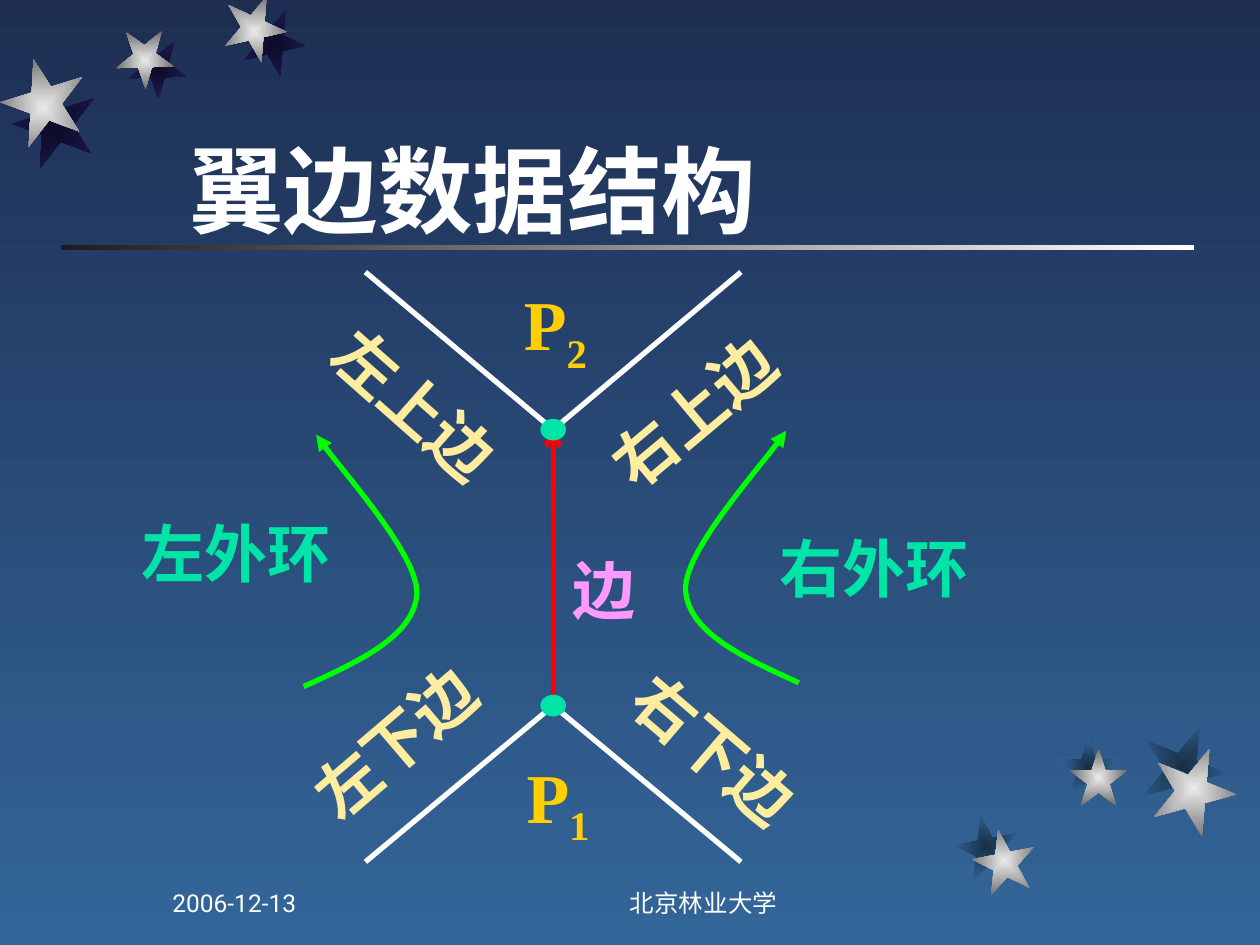
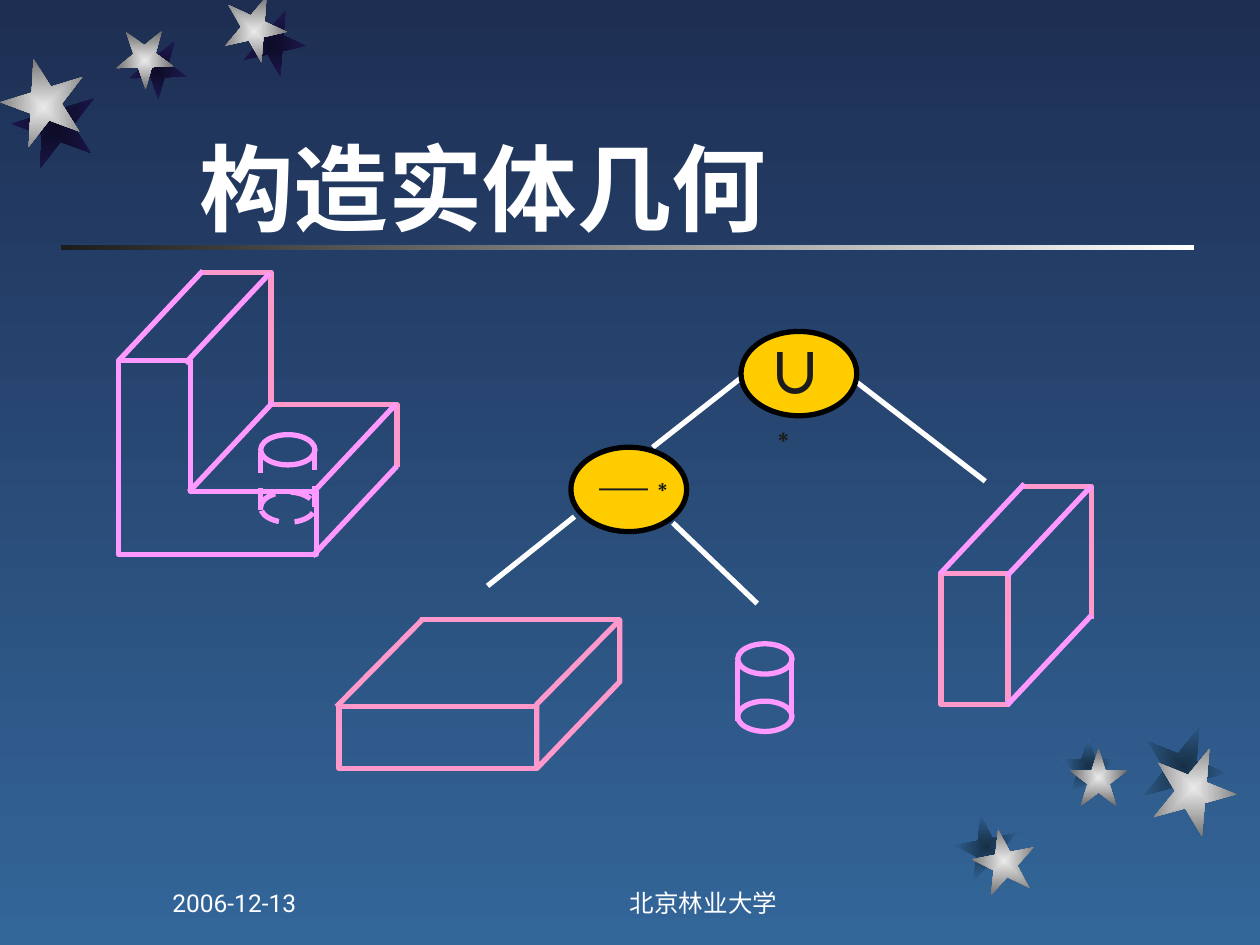
import dataclasses
import typing

import lxml.etree
import pptx
import pptx.dml.color
import pptx.enum.dml
import pptx.enum.shapes
import pptx.enum.text
import pptx.oxml.ns
import pptx.presentation
import pptx.shapes.base
import pptx.shapes.shapetree
import pptx.slide
import pptx.text.text
import pptx.util

Pt = pptx.util.Pt
RGB = pptx.dml.color.RGBColor.from_string
qn = pptx.oxml.ns.qn
SHAPE = pptx.enum.shapes.MSO_SHAPE
ALIGN = pptx.enum.text.PP_ALIGN
ANCHOR = pptx.enum.text.MSO_ANCHOR
FIT = pptx.enum.text.MSO_AUTO_SIZE
DASH = pptx.enum.dml.MSO_LINE.DASH
Shapes = typing.Union[pptx.shapes.shapetree.SlideShapes, pptx.shapes.shapetree.GroupShapes]
Point = tuple[float, float]


@dataclasses.dataclass(frozen=True)
class Theme:
    background: tuple[str, str] = ("1E2E53", "336699")
    rule: tuple[str, str] = ("FFFFFF", "1C1C1C")
    star: tuple[str, str] = ("EAEAEA", "6B6B6B")
    top_shadow: tuple[str, str] = ("0D0B26", "1E1A53")
    bottom_shadow: tuple[str, str] = ("172F46", "336699")
    white: str = "FFFFFF"
    black: str = "000000"
    dark: str = "1C1C1C"
    red: str = "FF0000"
    green: str = "00FF00"
    teal: str = "00E4A8"
    cream: str = "FFED9F"
    gold: str = "FFCF01"
    amber: str = "FFCC00"
    violet: str = "FF99FF"
    pink: str = "FF99CC"
    body_font: str = "Roboto"
    cjk_font: str = "Noto Sans CJK SC"
    vertex_font: str = "Times New Roman"
    mark_font: str = "Arial"
    title_size: float = 54
    vertex_size: float = 40
    label_size: float = 36
    footer_size: float = 14
    line: float = 3


T = Theme()


@dataclasses.dataclass(frozen=True)
class Star:
    x: float
    y: float
    size: float
    angle: float
    shadow_x: float
    shadow_y: float
    shadow: tuple[str, str]


@dataclasses.dataclass(frozen=True)
class Label:
    text: str
    x: float
    y: float
    color: str
    angle: float = 0


STARS = [
    Star(127.4, 0, 36, 167.3, 138.2, 8, T.top_shadow),
    Star(66.2, 18, 33, 178.3, 73.5, 23.8, T.top_shadow),
    Star(0.7, 37.4, 48, 200.3, 7.2, 49.7, T.top_shadow),
    Star(555.8, 473.8, 36, 349, 545.8, 465.8, T.bottom_shadow),
    Star(611.3, 427.7, 33, 0, 605.5, 421.2, T.bottom_shadow),
    Star(658.1, 426.2, 48, 22, 652.3, 414, T.bottom_shadow),
]
LABELS = [
    Label("左下边", 171.4, 402.5, T.cream, 319.4),
    Label("右下边", 354.2, 406.1, T.cream, 40.6),
    Label("右上边", 342, 213.8, T.cream, 320),
    Label("左上边", 182.9, 209.5, T.cream, 41.6),
    Label("边", 326.9, 315.4, T.violet),
    Label("右外环", 445.7, 302.4, T.teal),
    Label("左外环", 80.6, 293.8, T.teal),
]
DEPTH = (-48.2, 51.4)


def set_gradient(fill: typing.Any, colors: tuple[str, str], angle: float = 0) -> None:
    fill.gradient()
    fill.gradient_angle = angle
    for stop, color, position in zip(fill.gradient_stops, colors, (0, 1)):
        stop.color.rgb = RGB(color)
        stop.position = position


def add_shape(shapes: Shapes, kind: SHAPE, x: float, y: float, w: float, h: float):
    sp = shapes.add_shape(kind, Pt(x), Pt(y), Pt(w), Pt(h))
    sp.shadow.inherit = False
    sp.fill.background()
    sp.line.fill.background()
    return sp


def set_line(sp: typing.Any, color: str, dashed: bool = False) -> None:
    sp.line.color.rgb = RGB(color)
    sp.line.width = Pt(T.line)
    if dashed:
        sp.line.dash_style = DASH


def add_arrowhead(sp: typing.Any, end: str, kind: str) -> None:
    ln = sp.element.spPr.find(qn("a:ln"))
    lxml.etree.SubElement(ln, qn(f"a:{end}End"), type=kind)


def add_line(shapes: Shapes, a: Point, b: Point, color: str, dashed: bool = False):
    c = shapes.add_connector(pptx.enum.shapes.MSO_CONNECTOR.STRAIGHT, *map(Pt, (*a, *b)))
    set_line(c, color, dashed)
    lxml.etree.SubElement(c.element.spPr, qn("a:effectLst"))
    return c


def add_depth_edges(shapes: Shapes, starts: list[Point]) -> None:
    for x, y in starts:
        add_line(shapes, (x, y), (x + DEPTH[0], y + DEPTH[1]), T.violet)


def add_outline(shapes: Shapes, points: list[Point], color: str, close: bool = False):
    pts = [(Pt(x), Pt(y)) for x, y in points]
    builder = shapes.build_freeform(*pts[0])
    builder.add_line_segments(pts[1:], close=close)
    sp = builder.convert_to_shape()
    sp.shadow.inherit = False
    sp.fill.background()
    set_line(sp, color)
    return sp


def curve_points(controls: list[Point], steps: int = 16) -> list[Point]:
    """Points along joined cubic Bezier segments."""
    points = [controls[0]]
    for i in range(0, len(controls) - 1, 3):
        segment = controls[i:i + 4]
        for step in range(1, steps + 1):
            t = step / steps
            weights = ((1 - t) ** 3, 3 * t * (1 - t) ** 2, 3 * t * t * (1 - t), t ** 3)
            points.append((sum(w * p[0] for w, p in zip(weights, segment)),
                           sum(w * p[1] for w, p in zip(weights, segment))))
    return points


def style_paragraph(p: typing.Any, font: str, size: float, color: str, bold: bool,
                    align: ALIGN = ALIGN.LEFT) -> None:
    p.alignment = align
    p.font.name = font
    p.font.size = Pt(size)
    p.font.bold = bold
    p.font.color.rgb = RGB(color)
    props = p._p.pPr.find(qn("a:defRPr"))
    lxml.etree.SubElement(props, qn("a:ea"), typeface=T.cjk_font)


def add_text(shapes: Shapes, text: str, x: float, y: float, w: float, h: float, font: str,
             size: float, color: str, bold: bool = True, wrap: bool = False,
             align: ALIGN = ALIGN.LEFT):
    sp = shapes.add_textbox(Pt(x), Pt(y), Pt(w), Pt(h))
    tf = sp.text_frame
    tf.word_wrap = wrap
    tf.auto_size = FIT.SHAPE_TO_FIT_TEXT
    p = tf.paragraphs[0]
    p.add_run().text = text
    style_paragraph(p, font, size, color, bold, align)
    return sp


def add_script(sp: typing.Any, text: str, percent: int, font: typing.Optional[str] = None) -> None:
    """Append a raised or lowered run to the first paragraph."""
    r = sp.text_frame.paragraphs[0].add_run()
    r.text = text
    r.font.name = font
    r._r.get_or_add_rPr().set("baseline", str(percent * 1000))


def add_star(shapes: Shapes, x: float, y: float, star: Star, colors: tuple[str, str]):
    sp = add_shape(shapes, SHAPE.STAR_5_POINT, x, y, star.size, star.size)
    sp.rotation = star.angle
    set_gradient(sp.fill, colors)
    grad = sp.element.spPr.find(qn("a:gradFill"))
    grad.remove(grad.find(qn("a:lin")))
    centre = lxml.etree.SubElement(grad, qn("a:path"), path="rect")
    lxml.etree.SubElement(centre, qn("a:fillToRect"), l="50000", t="50000", r="50000", b="50000")
    return sp


def decorate_master(prs: pptx.presentation.Presentation, s: pptx.slide.Slide) -> None:
    """Draw the shared decoration on a slide, then move it to the master."""
    master = prs.slide_master
    set_gradient(master.background.fill, T.background, 270)
    rule = add_shape(s.shapes, SHAPE.RECTANGLE, 34.6, 140.2, 648, 2.5)
    set_gradient(rule.fill, T.rule, 180)
    parts = [rule]
    for star in STARS:
        parts.append(add_star(s.shapes, star.shadow_x, star.shadow_y, star, star.shadow))
        parts.append(add_star(s.shapes, star.x, star.y, star, T.star))
    for number, sp in enumerate(parts, 100):
        sp.element.nvSpPr.cNvPr.set("id", str(number))
        master.element.cSld.spTree.append(sp.element)


def add_slide(prs: pptx.presentation.Presentation, title: str, x: float, y: float):
    s = prs.slides.add_slide(prs.slide_layouts[5])
    sp = s.shapes.title
    sp.left, sp.top, sp.width, sp.height = Pt(x), Pt(y), Pt(540), Pt(115.2)
    tf = sp.text_frame
    tf.text = title
    tf.vertical_anchor = ANCHOR.BOTTOM
    tf.auto_size = FIT.NONE
    style_paragraph(tf.paragraphs[0], T.body_font, T.title_size, T.white, True)
    return s


def add_footers(s: pptx.slide.Slide) -> None:
    for text, x, w, align in (("北京林业大学", 288, 228.2, ALIGN.CENTER),
                              ("2006-12-13", 91.4, 149.8, ALIGN.LEFT)):
        sp = add_text(s.shapes, text, x, 491.8, w, 36, T.body_font, T.footer_size,
                      T.white, bold=False, wrap=True, align=align)
        sp.text_frame.auto_size = FIT.NONE
        sp.text_frame.vertical_anchor = ANCHOR.BOTTOM


def draw_winged_edge(s: pptx.slide.Slide) -> None:
    for label in LABELS:
        sp = add_text(s.shapes, label.text, label.x, label.y, T.label_size * len(label.text),
                      43.2, T.cjk_font, T.label_size, label.color)
        sp.rotation = label.angle
        tf = sp.text_frame
        tf.margin_left = tf.margin_right = tf.margin_top = tf.margin_bottom = 0

    x, upper, lower = 316.1, 245.5, 403.2
    edge = add_line(s.shapes, (x, upper), (x, lower), T.red)
    add_arrowhead(edge, "head", "arrow")
    for vertex_y, wing_y in ((lower, 492.5), (upper, 155.5)):
        for side in (-1, 1):
            add_line(s.shapes, (x + side * 107.3, wing_y), (x, vertex_y), T.white)
    for vertex_y in (upper, lower):
        dot = add_shape(s.shapes, SHAPE.OVAL, x - 7.3, vertex_y - 6.2, 14.6, 12.4)
        dot.fill.solid()
        dot.fill.fore_color.rgb = RGB(T.teal)

    left_loop = [(173.5, 392.4), (205.2, 378), (236.9, 363.6), (238.3, 339.1),
                 (239, 315.4), (190.1, 263.5), (180.7, 248.4)]
    right_loop = [(630 - px, py - 2.2) for px, py in left_loop]
    for loop in (left_loop, right_loop):
        add_arrowhead(add_outline(s.shapes, curve_points(loop), T.green), "tail", "triangle")

    for number, px, py in (("1", 293.8, 427), ("2", 292.3, 157)):
        sp = add_text(s.shapes, "P", px, py, 50.4, 61.9, T.vertex_font, T.vertex_size, T.gold)
        add_script(sp, number, -25)


def add_cylinder(shapes: Shapes, x: float, y: float, hidden: bool = False) -> None:
    for top, dashed in ((y, False), (y + 32.8, hidden)):
        set_line(add_shape(shapes, SHAPE.OVAL, x, top, 31, 17.3), T.violet, dashed)
    for side_x, side_y in ((x, y + 9.7), (x + 30.6, y + 8.3)):
        add_line(shapes, (side_x, side_y), (side_x, side_y + 34.2), T.violet, hidden)


def draw_solid(shapes: Shapes) -> None:
    """The finished L-shaped block with its hole."""
    add_outline(shapes, [(67.7, 316.8), (180.7, 316.8), (180.7, 280.8), (108.7, 280.8),
                         (108.7, 205.9), (67.7, 205.9)], T.violet, close=True)
    add_outline(shapes, [(115.2, 155.5), (154.8, 155.5), (154.8, 231.1), (226.8, 231.1),
                         (226.8, 267.1)], T.pink)
    add_depth_edges(shapes, [(115.9, 154.8), (154.1, 156.2), (156.2, 229.7),
                             (226.1, 231.1), (226.8, 266.4)])
    add_cylinder(shapes, 149, 248.4, hidden=True)


def draw_flat_block(shapes: Shapes) -> None:
    set_line(add_shape(shapes, SHAPE.RECTANGLE, 193.7, 403.9, 113, 35.3), T.pink)
    add_outline(shapes, [(306.7, 439.2), (354.2, 389.5), (354.2, 354.2), (306.7, 402.5)],
                T.pink, close=True)
    add_line(shapes, (239.8, 354.2), (354.2, 354.2), T.pink)
    add_line(shapes, (241.2, 354.2), (192.2, 403.9), T.pink)


def draw_tall_block(shapes: Shapes) -> None:
    set_line(add_shape(shapes, SHAPE.RECTANGLE, 537.8, 327.6, 38.2, 74.9), T.pink)
    add_outline(shapes, [(583.9, 277.9), (623.5, 277.9), (623.5, 353.5)], T.pink)
    add_depth_edges(shapes, [(585.4, 276.5), (623.5, 277.9), (623.8, 351.5)])


def draw_csg_tree(s: pptx.slide.Slide) -> None:
    draw_solid(s.shapes.add_group_shape().shapes)
    add_cylinder(s.shapes.add_group_shape().shapes, 421.6, 367.9)
    for a, b in (((423.4, 216), (373, 255.6)), ((484.6, 214.6), (563, 275)),
                 ((328.3, 295.2), (278.6, 334.8)), ((384.5, 298.8), (432.7, 344.9))):
        add_line(s.shapes, a, b, T.white)
    for x, y in ((423.4, 189.4), (326.2, 255.6)):
        node = add_shape(s.shapes, SHAPE.OVAL, x, y, 66.2, 48.2)
        node.fill.solid()
        node.fill.fore_color.rgb = RGB(T.amber)
        set_line(node, T.black)
    draw_flat_block(s.shapes.add_group_shape().shapes)
    draw_tall_block(s.shapes.add_group_shape().shapes)
    for sign, x, y, w, h, size in (("∪", 431.3, 190.1, 49.7, 46.1, 32),
                                   ("─", 335.5, 259.2, 59, 41, 28)):
        sp = add_text(s.shapes, sign, x, y, w, h, T.cjk_font, size, T.dark, wrap=True)
        add_script(sp, "∗", 30, T.mark_font)


def main() -> None:
    prs = pptx.Presentation()
    prs.slide_width, prs.slide_height = Pt(720), Pt(540)
    winged = add_slide(prs, "翼边数据结构", 100.8, 28.8)
    decorate_master(prs, winged)
    draw_winged_edge(winged)
    csg = add_slide(prs, "构造实体几何", 106.6, 27.4)
    draw_csg_tree(csg)
    for s in (winged, csg):
        add_footers(s)
    prs.save("out.pptx")


if __name__ == "__main__":
    main()
